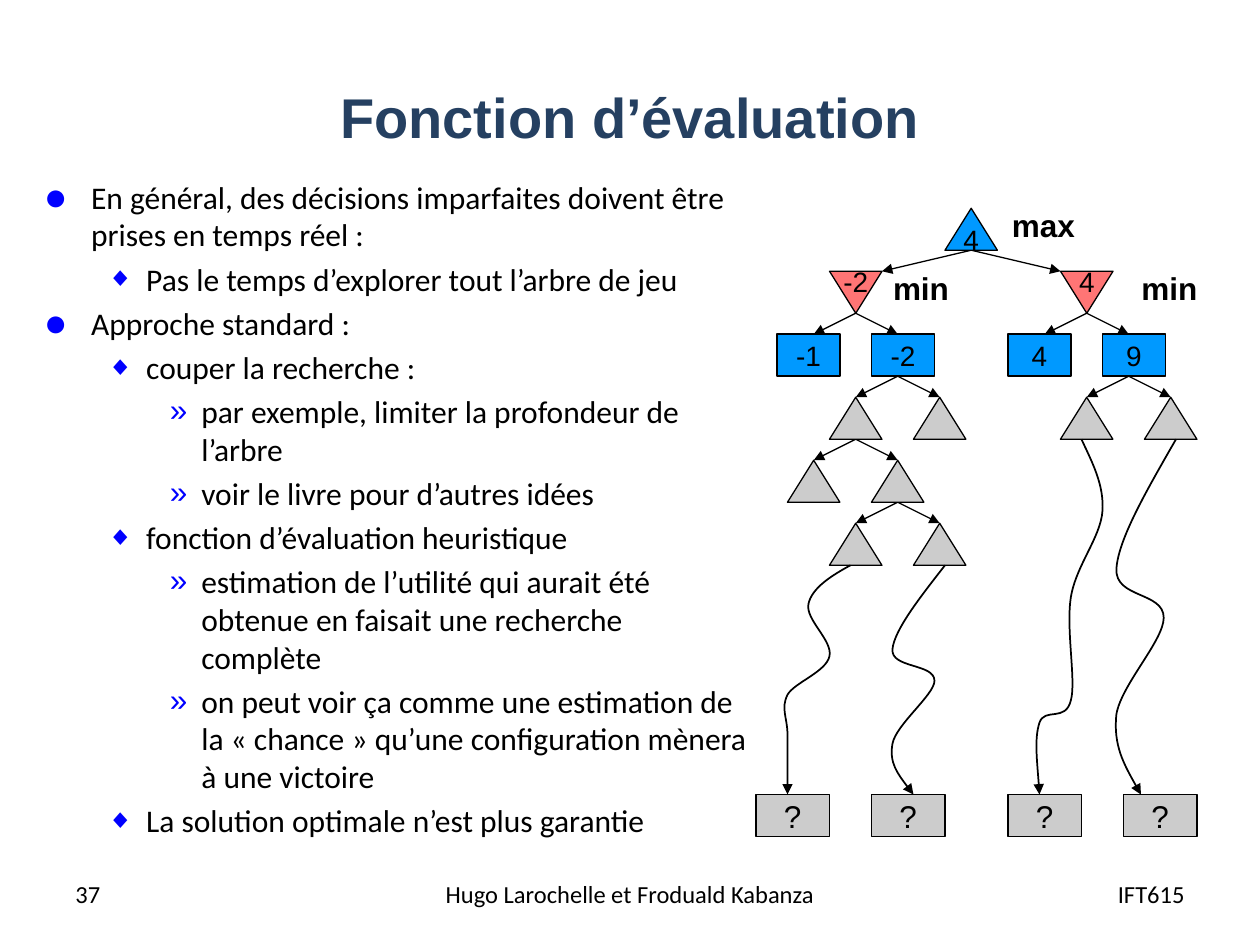
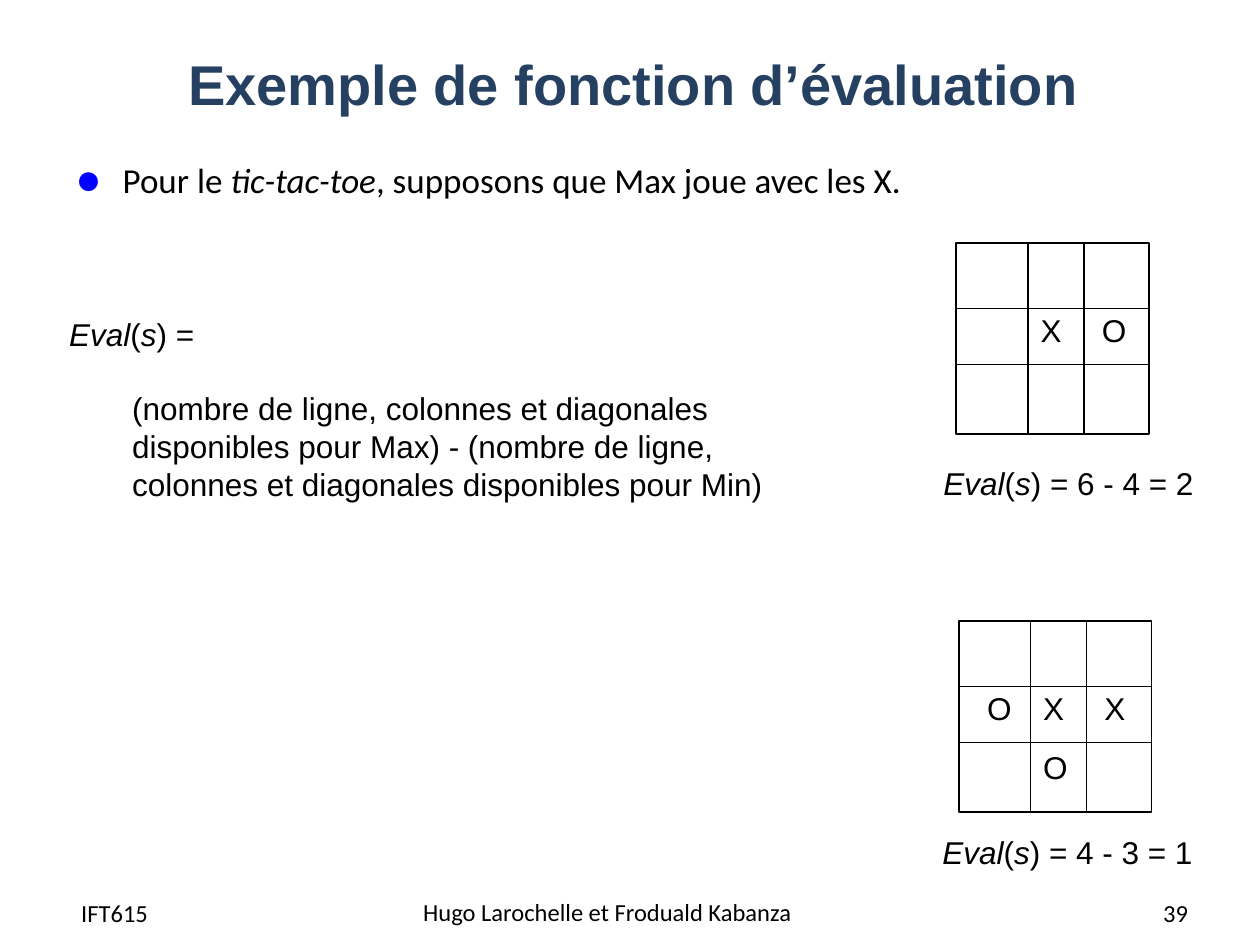
"""Builds two slides on evaluation functions: a pruned game tree and a tic-tac-toe example."""
from dataclasses import dataclass
from lxml.etree import SubElement
from pptx import Presentation
from pptx.dml.color import RGBColor
from pptx.enum.shapes import MSO_CONNECTOR, MSO_SHAPE
from pptx.enum.text import MSO_ANCHOR, PP_ALIGN
from pptx.oxml.ns import qn
from pptx.util import Pt


@dataclass(frozen=True)
class Theme:
    title_color: str = "254061"
    ink: str = "000000"
    bullet: str = "0000FF"
    max_fill: str = "0099FF"
    min_fill: str = "FF7575"
    hidden_fill: str = "CCCCCC"
    heading_font: str = "Arial"
    body_font: str = "Calibri"
    title_size: float = 32
    lead_size: float = 20
    text_size: float = 18
    node_size: float = 16
    footer_size: float = 14
    thin: float = 0.75
    line: float = 1


THEME = Theme()
LEFT, CENTER, RIGHT = PP_ALIGN.LEFT, PP_ALIGN.CENTER, PP_ALIGN.RIGHT
AUTHORS, COURSE = "Hugo Larochelle et Froduald Kabanza", "IFT615"

BULLETS = [("●", 125, 27, -27), ("◆", 85, 58.5, -22.5), ("»", 100, 90, -18)]

SEARCH = {
    "title": "Fonction d’évaluation",
    "title_box": (36, 21.6, 648, 90),
    "points_box": (18, 98, 417.6, 398),
    "points": [
        (0, "En général, des décisions imparfaites doivent être prises en temps réel :"),
        (1, "Pas le temps d’explorer tout l’arbre de jeu"),
        (0, "Approche standard :"),
        (1, "couper la recherche :"),
        (2, "par exemple, limiter la profondeur de l’arbre"),
        (2, "voir le livre pour d’autres idées"),
        (1, "fonction d’évaluation heuristique"),
        (2, "estimation de l’utilité qui aurait été obtenue en faisait une recherche complète"),
        (2, "on peut voir ça comme une estimation de la « chance » qu’une configuration mènera à une victoire"),
        (1, "La solution optimale n’est plus garantie"),
    ],
    "footers": [
        ("37", (36, 492, 168, 37), LEFT),
        (AUTHORS, (246, 492, 228, 37), CENTER),
        (COURSE, (516, 492, 168, 37), RIGHT),
    ],
}

TREE_TOP, LEVEL_STEP, NODE_W, CUT_W, NODE_H = 119, 36, 30, 36, 24
NODES = {
    "root": (555, 0, "max", "4"),
    "min_left": (489, 1, "min", "-2"),
    "min_right": (621, 1, "min", "4"),
    "cut_a": (465, 2, "cut", "-1"),
    "cut_b": (513, 2, "cut", "-2"),
    "cut_c": (597, 2, "cut", "4"),
    "cut_d": (645, 2, "cut", "9"),
    "b_left": (489, 3, "hidden", ""),
    "b_right": (537, 3, "hidden", ""),
    "d_left": (621, 3, "hidden", ""),
    "d_right": (669, 3, "hidden", ""),
    "b_left_left": (465, 4, "hidden", ""),
    "b_left_right": (513, 4, "hidden", ""),
    "deep_left": (489, 5, "hidden", ""),
    "deep_right": (537, 5, "hidden", ""),
}
CHILDREN = {
    "root": ("min_left", "min_right"),
    "min_left": ("cut_a", "cut_b"),
    "min_right": ("cut_c", "cut_d"),
    "cut_b": ("b_left", "b_right"),
    "cut_d": ("d_left", "d_right"),
    "b_left": ("b_left_left", "b_left_right"),
    "b_left_right": ("deep_left", "deep_right"),
}
NODE_FILLS = {"max": THEME.max_fill, "cut": THEME.max_fill,
              "min": THEME.min_fill, "hidden": THEME.hidden_fill}
PLAYER_LABELS = [("max", 570, 114), ("min", 500, 150), ("min", 642, 150)]
UNKNOWN_LEFTS, UNKNOWN_TOP, UNKNOWN_W = (432, 498, 576, 642), 454, 42
UNEXPLORED_ROUTES = [
    [(486, 323), (475, 329), (464, 336), (462, 345), (460, 354), (476, 366), (474, 375),
     (472, 384), (454, 390), (450, 397), (446, 405), (450, 410), (450, 420),
     (450, 429), (450, 442), (450, 454)],
    [(540, 323), (526, 341), (511, 360), (510, 371), (509, 382), (534, 379), (534, 389),
     (534, 397), (512, 414), (510, 425), (508, 436), (515, 445), (522, 454)],
    [(618, 251), (624, 264), (631, 277), (630, 292), (629, 307), (615, 323), (612, 341),
     (609, 359), (615, 389), (612, 400), (609, 413), (597, 404), (594, 413),
     (591, 422), (593, 438), (594, 454)],
    [(672, 251), (656, 279), (639, 308), (638, 325), (637, 342), (665, 338), (665, 353),
     (665, 366), (641, 391), (638, 408), (636, 426), (644, 440), (652, 454)],
]

EXAMPLE = {
    "title": "Exemple de fonction d’évaluation",
    "title_box": (38, 16.5, 648, 62),
    "lead": "Pour le *tic-tac-toe*, supposons que Max joue avec les X.",
    "lead_box": (36, 87, 632, 50),
    "formula": "*Eval*(*s*) =",
    "formula_box": (32.4, 176.4, 456, 117),
    "definition": "(nombre de ligne, colonnes et diagonales disponibles pour Max) - "
                  "(nombre de ligne, colonnes et diagonales disponibles pour Min)",
    "footers": [
        (COURSE, (34, 510.5, 63, 22), CENTER),
        (AUTHORS, (234.7, 510, 251, 22), LEFT),
        ("39", (653, 507, 33, 29), RIGHT),
    ],
    "boards": [
        (546.5, 139, {(1, 1): "X", (1, 2): "O"}, "*Eval*(*s*) = 6 - 4 = 2", (532, 261.4)),
        (548, 355, {(1, 0): "O", (1, 1): "X", (1, 2): "X", (2, 1): "O"},
         "*Eval*(*s*) = 4 - 3 = 1", (531.4, 472.3)),
    ],
}
BOARD_W, BOARD_H = 110, 109
COLUMN_LINES, ROW_LINES = (41, 73), (37.5, 69.5)
MARK_LEFTS, MARK_TOPS, MARK_SIZE = (9, 41, 76), (2, 35, 69), (32, 36)


def pts(*lengths):
    return [Pt(length) for length in lengths]


def write(paragraph, text, size, font=THEME.heading_font, color=THEME.ink, bold=False, align=LEFT):
    for index, part in enumerate(text.split("*")):
        if part:
            run = paragraph.add_run()
            run.text = part
            if index % 2:
                run.font.italic = True
    paragraph.alignment = align
    style = paragraph.font
    style.size, style.name, style.bold = Pt(size), font, bold
    style.color.rgb = RGBColor.from_string(color)


def add_text(shapes, box, text, size, anchor=MSO_ANCHOR.TOP, **style):
    frame = shapes.add_textbox(*pts(*box)).text_frame
    frame.word_wrap, frame.vertical_anchor = True, anchor
    write(frame.paragraphs[0], text, size, **style)
    return frame


def indent(paragraph, margin, first):
    props = paragraph._p.get_or_add_pPr()
    props.set("marL", str(Pt(margin)))
    props.set("indent", str(Pt(first)))
    return props


def write_bullet(paragraph, level, text, size):
    symbol, percent, margin, first = BULLETS[level]
    props = indent(paragraph, margin, first)
    SubElement(SubElement(props, qn("a:buClr")), qn("a:srgbClr"), val=THEME.bullet)
    SubElement(props, qn("a:buSzPct"), val=str(percent * 1000))
    SubElement(props, qn("a:buFont"), typeface=THEME.heading_font)
    SubElement(props, qn("a:buChar"), char=symbol)
    paragraph.space_before = Pt(size * 0.2)
    write(paragraph, text, size, THEME.body_font)


def add_bullets(shapes, box, points, size):
    frame = shapes.add_textbox(*pts(*box)).text_frame
    frame.word_wrap = True
    for index, (level, text) in enumerate(points):
        paragraph = frame.add_paragraph() if index else frame.paragraphs[0]
        write_bullet(paragraph, level, text, size)


def outline(shape, width, arrow=False):
    shape.line.color.rgb = RGBColor.from_string(THEME.ink)
    shape.line.width = Pt(width)
    if arrow:
        SubElement(shape.line._get_or_add_ln(), qn("a:tailEnd"), type="triangle")


def add_line(shapes, start, end, arrow=False):
    line = shapes.add_connector(MSO_CONNECTOR.STRAIGHT, *pts(*start, *end))
    outline(line, THEME.thin, arrow)
    SubElement(line._element.spPr, qn("a:effectLst"))


def add_box(shapes, kind, box, fill, width, text="", size=THEME.node_size):
    shape = shapes.add_shape(kind, *pts(*box))
    shape.shadow.inherit = False
    outline(shape, width)
    if fill:
        shape.fill.solid()
        shape.fill.fore_color.rgb = RGBColor.from_string(fill)
    else:
        shape.fill.background()
    if text:
        frame = shape.text_frame
        frame.word_wrap, frame.vertical_anchor = False, MSO_ANCHOR.MIDDLE
        write(frame.paragraphs[0], text, size, align=CENTER)
    return shape


def add_curve(shapes, route):
    start, *controls = [pts(*point) for point in route]
    builder = shapes.build_freeform(*start)
    builder.add_line_segments(controls, close=False)
    curve = builder.convert_to_shape()
    curve.shadow.inherit = False
    curve.fill.background()
    outline(curve, THEME.line, arrow=True)
    steps = list(curve._element.iter(qn("a:lnTo")))
    outline_steps = steps[0].getparent()
    for first in range(0, len(steps), 3):
        bezier = SubElement(outline_steps, qn("a:cubicBezTo"))
        for step in steps[first:first + 3]:
            bezier.append(step[0])
            outline_steps.remove(step)


def add_slide(deck, content):
    slide = deck.slides.add_slide(deck.slide_layouts[5])
    title = slide.shapes.title
    title.left, title.top, title.width, title.height = pts(*content["title_box"])
    title.text_frame.vertical_anchor = MSO_ANCHOR.MIDDLE
    write(title.text_frame.paragraphs[0], content["title"], THEME.title_size,
          color=THEME.title_color, bold=True, align=CENTER)
    for text, box, align in content["footers"]:
        add_text(slide.shapes, box, text, THEME.footer_size, MSO_ANCHOR.MIDDLE,
                 font=THEME.body_font, align=align)
    return slide.shapes


def level_top(level):
    return TREE_TOP + LEVEL_STEP * level


def add_branches(shapes):
    for parent, children in CHILDREN.items():
        parent_x, parent_level, *_ = NODES[parent]
        for child in children:
            x, level, role, _ = NODES[child]
            if role == "min":
                x += NODE_W / 2 if x < parent_x else -NODE_W / 2
            add_line(shapes, (parent_x, level_top(parent_level) + NODE_H),
                     (x, level_top(level)), arrow=True)


def add_nodes(shapes):
    right_cuts = {CHILDREN[side][1] for side in ("min_left", "min_right")}
    for name, (x, level, role, value) in NODES.items():
        kind, left, width, border = MSO_SHAPE.ISOSCELES_TRIANGLE, x - NODE_W / 2, NODE_W, THEME.thin
        if role == "cut":
            kind, width, border = MSO_SHAPE.RECTANGLE, CUT_W, THEME.line
            left = x - CUT_W / 2 + (3 if name in right_cuts else -3)
        node = add_box(shapes, kind, (left, level_top(level), width, NODE_H),
                       NODE_FILLS[role], border, value)
        if role == "min":
            node.rotation = 180
            node.text_frame._txBody.bodyPr.set("rot", "10800000")


def build_search(deck):
    shapes = add_slide(deck, SEARCH)
    add_bullets(shapes, SEARCH["points_box"], SEARCH["points"], THEME.text_size)
    add_branches(shapes)
    add_nodes(shapes)
    for player, left, top in PLAYER_LABELS:
        add_text(shapes, (left, top, 52.6, 29), player, THEME.text_size, MSO_ANCHOR.MIDDLE,
                 bold=True, align=CENTER)
    for left, route in zip(UNKNOWN_LEFTS, UNEXPLORED_ROUTES):
        add_box(shapes, MSO_SHAPE.RECTANGLE, (left, UNKNOWN_TOP, UNKNOWN_W, NODE_H),
                THEME.hidden_fill, THEME.line, "?", THEME.text_size)
        add_curve(shapes, route)


def add_board(shapes, left, top, marks):
    for x in COLUMN_LINES:
        add_line(shapes, (left + x, top), (left + x, top + BOARD_H))
    for y in ROW_LINES:
        add_line(shapes, (left, top + y), (left + BOARD_W, top + y))
    for (row, column), mark in marks.items():
        add_text(shapes, (left + MARK_LEFTS[column], top + MARK_TOPS[row], *MARK_SIZE),
                 mark, THEME.text_size)
    add_box(shapes, MSO_SHAPE.RECTANGLE, (left, top, BOARD_W, BOARD_H), None, THEME.line)


def build_example(deck):
    shapes = add_slide(deck, EXAMPLE)
    add_bullets(shapes, EXAMPLE["lead_box"], [(0, EXAMPLE["lead"])], THEME.lead_size)
    frame = add_text(shapes, EXAMPLE["formula_box"], EXAMPLE["formula"], THEME.text_size)
    definition = frame.add_paragraph()
    indent(definition, 36, 0)
    definition.space_before = Pt(21)
    write(definition, EXAMPLE["definition"], THEME.text_size)
    for left, top, marks, score, corner in EXAMPLE["boards"]:
        add_board(shapes.add_group_shape().shapes, left, top, marks)
        add_text(shapes, (*corner, 166, 29), score, THEME.text_size)


def main():
    deck = Presentation()
    deck.slide_width, deck.slide_height = pts(720, 540)
    build_search(deck)
    build_example(deck)
    deck.save("out.pptx")


if __name__ == "__main__":
    main()
